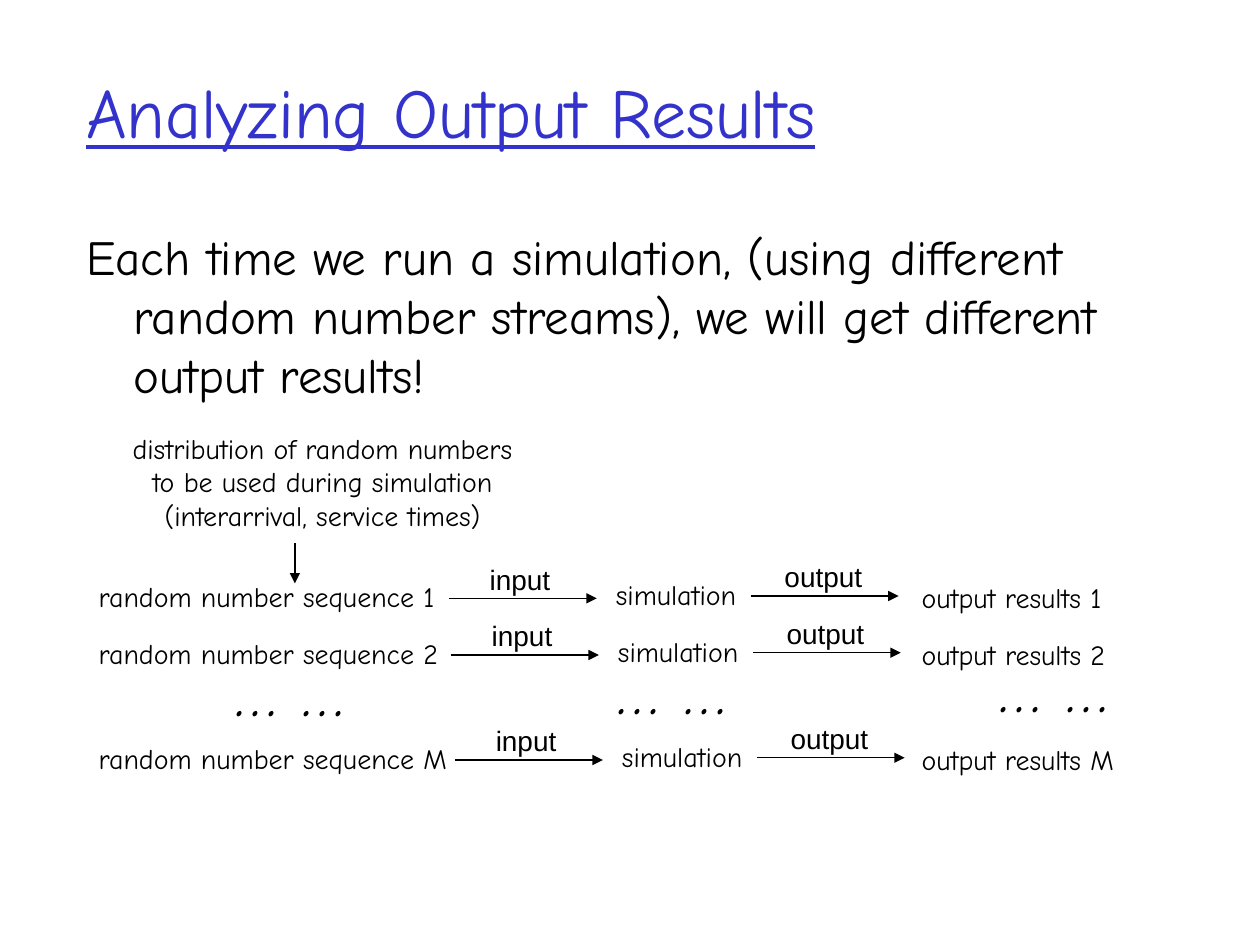
from dataclasses import dataclass

from lxml import etree
from pptx import Presentation
from pptx.dml.color import RGBColor
from pptx.enum.shapes import MSO_CONNECTOR
from pptx.enum.text import MSO_ANCHOR, MSO_AUTO_SIZE, PP_ALIGN
from pptx.oxml.ns import qn
from pptx.util import Pt

STRAIGHT = MSO_CONNECTOR.STRAIGHT
TOP, MIDDLE = MSO_ANCHOR.TOP, MSO_ANCHOR.MIDDLE
NO_FIT, GROW = MSO_AUTO_SIZE.NONE, MSO_AUTO_SIZE.SHAPE_TO_FIT_TEXT
LEFT, CENTER = PP_ALIGN.LEFT, PP_ALIGN.CENTER


@dataclass(frozen=True)
class Theme:
    title_color: RGBColor = RGBColor(0x33, 0x33, 0xCC)
    ink: RGBColor = RGBColor(0, 0, 0)
    hand: str = "Comic Neue"
    sans: str = "Arial"
    title: float = 40
    body: float = 28
    label: float = 16
    dots: float = 36
    line: float = 0.75


@dataclass(frozen=True)
class Box:
    left: float
    top: float
    width: float
    height: float


@dataclass(frozen=True)
class Run:
    name: str
    top: float
    shift: float
    sequence_width: float
    results_width: float


THEME = Theme()
LABEL_HEIGHT = 26.6
ARROW_LENGTH = 84.5
RUNS = [
    Run("1", 327.6, 0, 208, 119),
    Run("2", 360, 1.2, 210, 121),
    Run("M", 420, 3.5, 215, 126),
]
DOTS = [(127.4, 370.1), (345.6, 368.6), (563.8, 367.9)]


def add_run(p, text: str, size: float, font: str = THEME.hand,
            color: RGBColor = THEME.ink):
    r = p.add_run()
    r.text = text
    r.font.size = Pt(size)
    r.font.name = font
    r.font.color.rgb = color
    return r


def fill_placeholder(sp, box: Box, anchor, text: str, size: float,
                     color: RGBColor):
    sp.left, sp.top = Pt(box.left), Pt(box.top)
    sp.width, sp.height = Pt(box.width), Pt(box.height)
    tf = sp.text_frame
    tf.auto_size = NO_FIT
    tf.vertical_anchor = anchor
    p = tf.paragraphs[0]
    p.alignment = LEFT
    return p, add_run(p, text, size, color=color)


def add_label(shapes, box: Box, lines: list[str], size: float = THEME.label,
              font: str = THEME.hand, align=CENTER, italic: bool = False) -> None:
    sp = shapes.add_textbox(Pt(box.left), Pt(box.top), Pt(box.width), Pt(box.height))
    tf = sp.text_frame
    tf.word_wrap = False
    tf.auto_size = GROW
    for i, line in enumerate(lines):
        p = tf.add_paragraph() if i else tf.paragraphs[0]
        p.alignment = align
        add_run(p, line, size, font).font.italic = italic


def add_arrow(shapes, x1: float, y1: float, x2: float, y2: float) -> None:
    s = shapes.add_connector(STRAIGHT, Pt(x1), Pt(y1), Pt(x2), Pt(y2))
    s.line.color.rgb = THEME.ink
    s.line.width = Pt(THEME.line)
    etree.SubElement(s.line._get_or_add_ln(), qn("a:tailEnd"), type="triangle")
    etree.SubElement(s._element.spPr, qn("a:effectLst"))


def add_simulation_run(shapes, run: Run) -> None:
    group = shapes.add_group_shape().shapes
    y = run.top
    add_label(group, Box(48.4, y, run.sequence_width, LABEL_HEIGHT),
              [f"random number sequence {run.name}"])
    add_label(group, Box(343.3 + run.shift, y - 1.2, 86, LABEL_HEIGHT),
              ["simulation"])
    add_label(group, Box(518.6, y + 0.7, run.results_width, LABEL_HEIGHT),
              [f"output results {run.name}"])
    for text, x, arrow_y, text_x, text_width in (
        ("input", 256.5, y + 14.3, 272.7, 51),
        ("output", 429, y + 13, 441.2, 61),
    ):
        x += run.shift
        add_arrow(group, x, arrow_y, x + ARROW_LENGTH, arrow_y)
        add_label(group, Box(text_x + run.shift, arrow_y - 24.2, text_width, LABEL_HEIGHT),
                  [text], font=THEME.sans, align=LEFT)


def main() -> None:
    prs = Presentation()
    prs.slide_width, prs.slide_height = Pt(720), Pt(540)
    s = prs.slides.add_slide(prs.slide_layouts[1])
    shapes = s.shapes

    p, r = fill_placeholder(shapes.title, Box(42, 18, 612, 90), MIDDLE,
                            "Analyzing Output Results", THEME.title, THEME.title_color)
    r.font.underline = True

    p, r = fill_placeholder(
        s.placeholders[1], Box(42, 126, 612, 366), TOP,
        "Each time we run a simulation, (using different random number streams), "
        "we will get different output results!", THEME.body, THEME.ink)
    p.space_before = Pt(7)
    pPr = p._p.get_or_add_pPr()
    pPr.set("marL", str(Pt(27)))
    pPr.set("indent", str(-Pt(27)))
    etree.SubElement(pPr, qn("a:buNone"))

    add_label(shapes, Box(68.4, 242.8, 231.8, 64.8),
              ["distribution of random numbers",
               "to be used during simulation",
               "(interarrival, service times)"])
    for run in RUNS:
        add_simulation_run(shapes, run)
    for x, y in DOTS:
        add_label(shapes, Box(x, y, 79.2, 50.4), ["… …"], THEME.dots,
                  align=LEFT, italic=True)
    add_arrow(shapes, 168.5, 310.3, 168.5, 333.4)

    prs.save("out.pptx")


if __name__ == "__main__":
    main()
